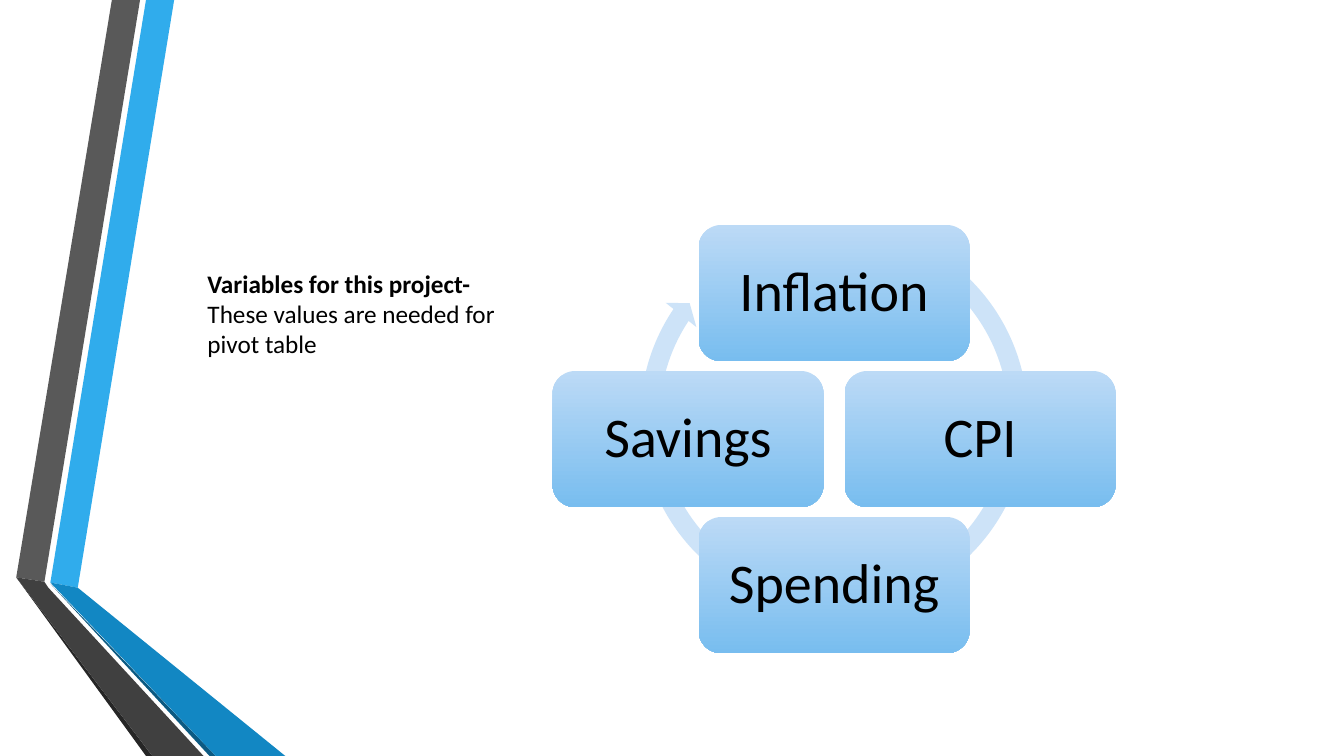
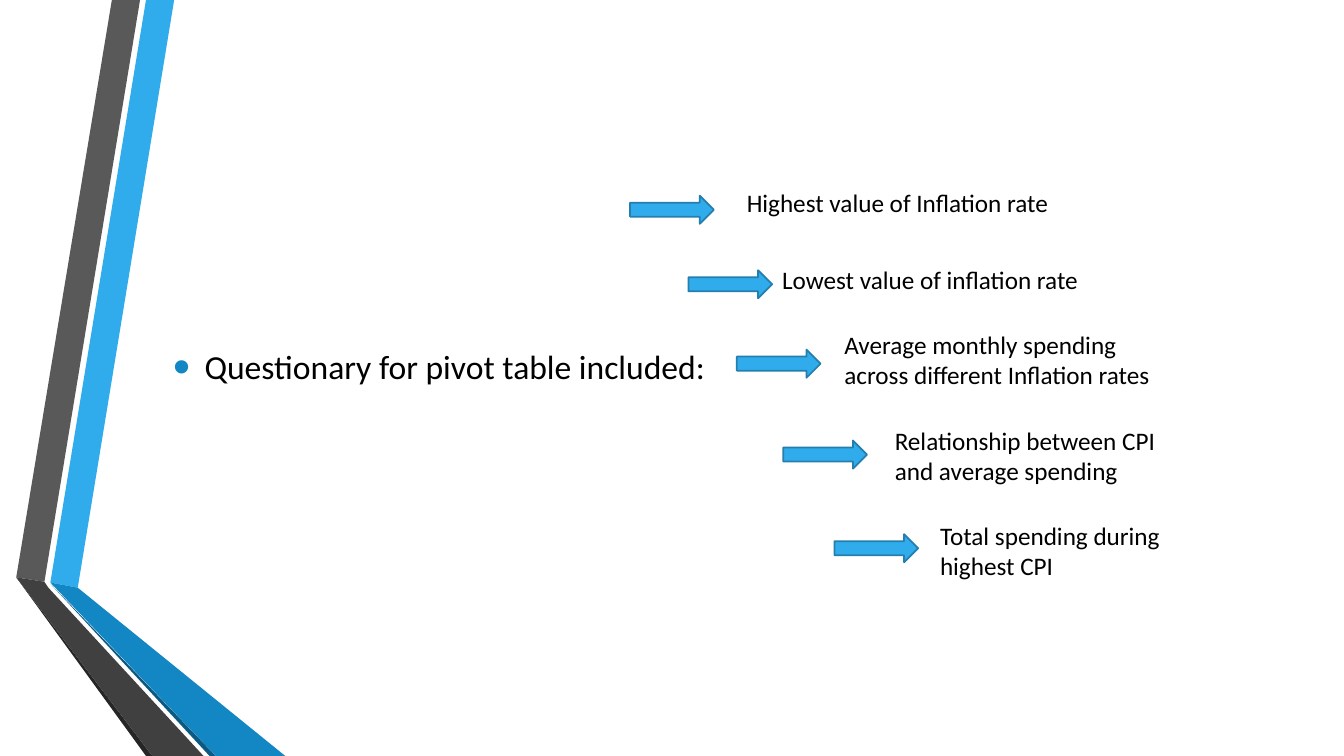
from dataclasses import dataclass

from lxml.etree import SubElement
from pptx import Presentation
from pptx.dml.color import RGBColor
from pptx.enum.shapes import MSO_SHAPE
from pptx.enum.text import MSO_ANCHOR, PP_ALIGN
from pptx.oxml.ns import qn
from pptx.util import Cm, Pt


@dataclass(frozen=True)
class Theme:
    font: str = "Calibri"
    ink: RGBColor = RGBColor(0x00, 0x00, 0x00)
    paper: RGBColor = RGBColor(0xFF, 0xFF, 0xFF)
    sky: RGBColor = RGBColor(0x30, 0xAC, 0xEC)
    blue: RGBColor = RGBColor(0x12, 0x87, 0xC3)
    navy: RGBColor = RGBColor(0x0C, 0x5A, 0x82)
    edge: RGBColor = RGBColor(0x24, 0x7F, 0xAF)
    gray: RGBColor = RGBColor(0x59, 0x59, 0x59)
    dark: RGBColor = RGBColor(0x40, 0x40, 0x40)
    coal: RGBColor = RGBColor(0x26, 0x26, 0x26)
    ring: RGBColor = RGBColor(0xCD, 0xE3, 0xF8)
    card_top: RGBColor = RGBColor(0xBC, 0xDA, 0xF6)
    card_end: RGBColor = RGBColor(0x78, 0xBD, 0xEF)
    card_size: Pt = Pt(40)
    list_size: Pt = Pt(24)
    text_size: Pt = Pt(18)


THEME = Theme()
WIDTH, HEIGHT = 33.87, 19.05

BANDS = [
    (THEME.sky, [(1.27, 14.68), (1.96, 14.81), (4.39, 0), (3.68, 0)]),
    (THEME.gray, [(3.53, 0), (2.82, 0), (0.41, 14.55), (1.12, 14.66)]),
    (THEME.coal, [(0.41, 14.55), (3.68, HEIGHT), (3.84, HEIGHT)]),
    (THEME.navy, [(1.27, 14.71), (5.28, HEIGHT), (5.44, HEIGHT)]),
    (THEME.blue, [(1.27, 14.68), (5.44, HEIGHT), (7.19, HEIGHT), (1.96, 14.81)]),
    (THEME.dark, [(5.13, HEIGHT), (1.22, 14.81), (1.12, 14.66), (0.41, 14.55),
                  (3.84, HEIGHT)]),
]

# Clockwise from the top: label, column and row steps from the centre
CARDS = [("Inflation", 0, -1), ("CPI", 1, 0), ("Spending", 0, 1), ("Savings", -1, 0)]

# Arrow left and top, then text left, top, width and height, within the list box
QUERIES = [
    ("Highest value of Inflation rate", (0, 0.33), (2.69, 0, 11.53, 1.03)),
    ("Lowest value of inflation rate", (1.47, 2.21), (3.58, 1.93, 9.93, 1.03)),
    ("Average monthly spending across different Inflation rates",
     (2.69, 4.21), (5.15, 3.58, 9.09, 1.8)),
    ("Relationship between CPI and average spending",
     (3.86, 6.5), (6.42, 5.99, 7.82, 1.8)),
    ("Total spending during highest CPI", (5.15, 8.86), (7.56, 8.38, 7.82, 1.8)),
]


def cms(*values):
    return [Cm(value) for value in values]


def paint(shape, fill, line=None):
    shape.shadow.inherit = False
    shape.fill.solid()
    shape.fill.fore_color.rgb = fill
    if line is None:
        shape.line.fill.background()
    else:
        shape.line.color.rgb = line
        shape.line.width = Pt(1.25)


def write(para, text, size, bold=False):
    para.text = text
    font = para.font
    font.name, font.size, font.bold = THEME.font, size, bold
    font.color.rgb = THEME.ink


def add_text(slide, box, lines):
    """Add a text box; lines holds pairs of text and bold."""
    frame = slide.shapes.add_textbox(*cms(*box)).text_frame
    frame.word_wrap = True
    for index, (text, bold) in enumerate(lines):
        para = frame.add_paragraph() if index else frame.paragraphs[0]
        write(para, text, THEME.text_size, bold)


def add_bands(slide, master):
    """Draw the bands on a slide and hand them to its master."""
    for color, points in BANDS:
        start, *rest = [tuple(cms(*point)) for point in points]
        draft = slide.shapes.build_freeform(*start)
        draft.add_line_segments(rest)
        band = draft.convert_to_shape()
        paint(band, color)
        master.shapes.element.append(band.element)


def add_card(slide, box, label):
    card = slide.shapes.add_shape(MSO_SHAPE.ROUNDED_RECTANGLE, *cms(*box))
    card.shadow.inherit = False
    card.line.fill.background()
    card.fill.gradient()
    card.fill.gradient_angle = 270
    for stop, color in zip(card.fill.gradient_stops, (THEME.card_top, THEME.card_end)):
        stop.color.rgb = color
    frame = card.text_frame
    frame.word_wrap = True
    frame.vertical_anchor = MSO_ANCHOR.MIDDLE
    frame.margin_left = frame.margin_right = Cm(0.2)
    para = frame.paragraphs[0]
    write(para, label, THEME.card_size)
    para.alignment = PP_ALIGN.CENTER
    para.line_spacing = 0.9


def add_cycle(slide, box):
    left, top, width, height = box
    mid_x, mid_y = left + width / 2, top + height / 2
    card_w, card_h, step, size, lift = 6.83, 3.43, 3.68, 10.26, 0.55
    ring = slide.shapes.add_shape(
        MSO_SHAPE.CIRCULAR_ARROW,
        *cms(mid_x - size / 2, mid_y - size / 2 - lift, size, size))
    paint(ring, THEME.ring)
    for index, value in enumerate((0.047, 2.729, 128.256, 180.348, 0.048)):
        ring.adjustments[index] = value
    for label, col, row in CARDS:
        add_card(slide, (mid_x + col * step - card_w / 2,
                         mid_y + row * step - card_h / 2, card_w, card_h), label)


def add_list(slide, box, text):
    """Fill the body placeholder with one bulleted line."""
    body = slide.placeholders[1]
    body.left, body.top, body.width, body.height = cms(*box)
    body.text_frame.vertical_anchor = MSO_ANCHOR.MIDDLE
    para = body.text_frame.paragraphs[0]
    write(para, text, THEME.list_size)
    para.space_before, para.space_after = Pt(4.8), Pt(6)
    props = para._p.get_or_add_pPr()
    indent = Cm(0.79)
    props.set("marL", str(indent))
    props.set("indent", str(-indent))
    marks = [SubElement(props, qn("a:buClr")), SubElement(props, qn("a:buSzPct")),
             SubElement(props, qn("a:buFont")), SubElement(props, qn("a:buChar"))]
    SubElement(marks[0], qn("a:srgbClr")).set("val", str(THEME.blue))
    marks[1].set("val", "145000")
    marks[2].set("typeface", "Arial")
    marks[3].set("char", "•")
    # The schema wants run defaults after the bullet marks
    props.append(props.find(qn("a:defRPr")))


def add_queries(slide, left, top):
    for text, (arrow_x, arrow_y), (text_x, text_y, width, height) in QUERIES:
        arrow = slide.shapes.add_shape(
            MSO_SHAPE.RIGHT_ARROW, *cms(left + arrow_x, top + arrow_y, 2.11, 0.71))
        paint(arrow, THEME.sky, THEME.edge)
        add_text(slide, (left + text_x, top + text_y, width, height), [(text, False)])


def build_cycle(slide):
    add_cycle(slide, (13.92, 5.67, 14.2, 10.79))
    add_text(slide, (4.98, 6.63, 7.87, 2.57), [
        ("Variables for this project-", True),
        ("These values are needed for pivot table", False),
    ])


def build_queries(slide):
    title = slide.shapes.title.element
    title.getparent().remove(title)
    add_list(slide, (4.11, 2.36, 27.84, 13.74), "Questionary for pivot table included:")
    add_queries(slide, 15.88, 4.6)


def main():
    deck = Presentation()
    deck.slide_width, deck.slide_height = cms(WIDTH, HEIGHT)
    master = deck.slide_master
    master.background.fill.solid()
    master.background.fill.fore_color.rgb = THEME.paper
    cycle = deck.slides.add_slide(deck.slide_layouts.get_by_name("Blank"))
    add_bands(cycle, master)
    build_cycle(cycle)
    build_queries(deck.slides.add_slide(
        deck.slide_layouts.get_by_name("Title and Content")))
    deck.save("out.pptx")


if __name__ == "__main__":
    main()
